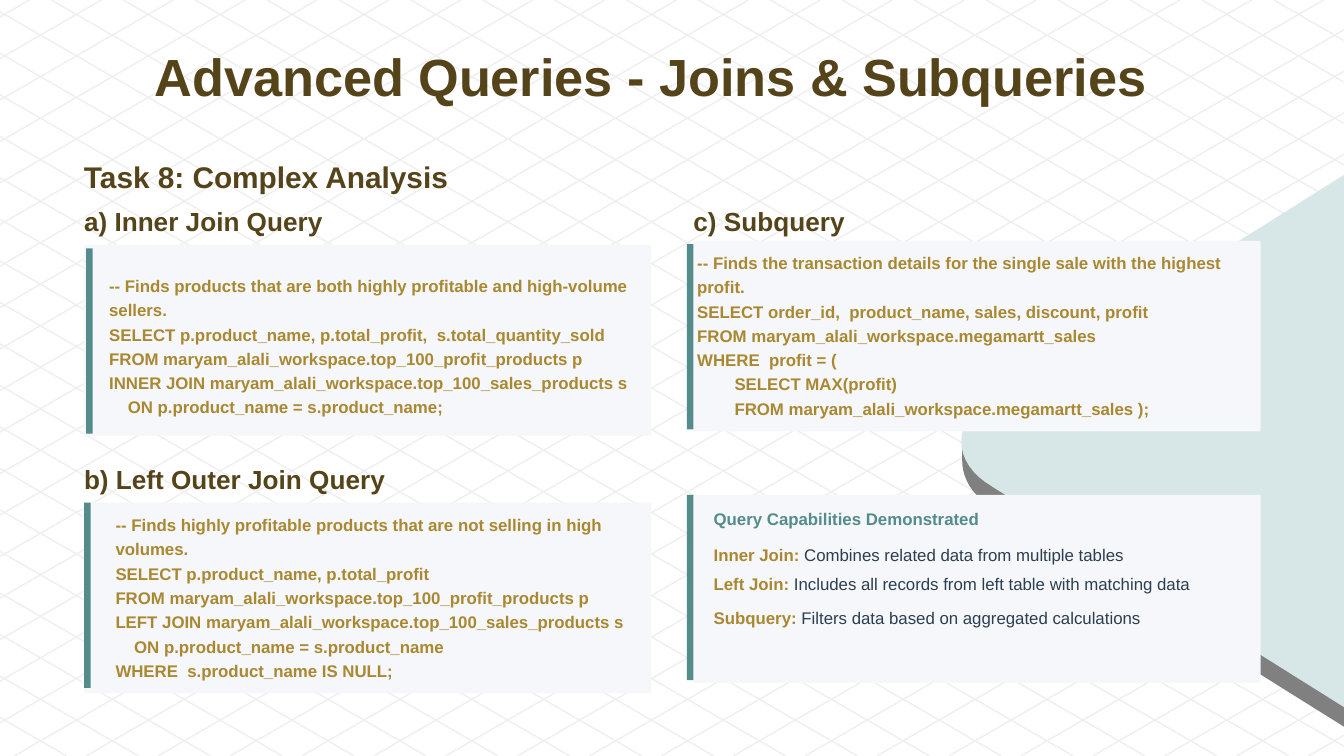
import pptx
import pptx.dml.color
import pptx.enum.shapes
import pptx.enum.text
import pptx.oxml.ns
import pptx.util
from lxml import etree

Pt = pptx.util.Pt
WIDTH, HEIGHT = 720, 405
BROWN, GOLD, TEAL = "554419", "AA8831", "548B8B"
PALE_TEAL, GREY, CARD, NAVY, GRID = "D7E7E7", "808080", "F5F7FA", "2C3E50", "EFEFEF"

INNER_JOIN = [
    "-- Finds products that are both highly profitable and high-volume sellers.",
    "SELECT p.product_name, p.total_profit,  s.total_quantity_sold",
    "FROM maryam_alali_workspace.top_100_profit_products p",
    "INNER JOIN maryam_alali_workspace.top_100_sales_products s",
    "    ON p.product_name = s.product_name;",
]
LEFT_JOIN = [
    "-- Finds highly profitable products that are not selling in high volumes.",
    "SELECT p.product_name, p.total_profit",
    "FROM maryam_alali_workspace.top_100_profit_products p",
    "LEFT JOIN maryam_alali_workspace.top_100_sales_products s",
    "    ON p.product_name = s.product_name",
    "WHERE  s.product_name IS NULL;",
]
SUBQUERY = [
    "-- Finds the transaction details for the single sale with the highest profit.",
    "SELECT order_id,  product_name, sales, discount, profit",
    "FROM maryam_alali_workspace.megamartt_sales",
    "WHERE  profit = (",
    "        SELECT MAX(profit)",
    "        FROM maryam_alali_workspace.megamartt_sales );",
]
# Term, explanation and top of each capability
CAPABILITIES = [
    ("Inner Join: ", "Combines related data from multiple tables", 289.4),
    ("Left Join: ", "Includes all records from left table with matching data", 305.3),
    ("Subquery: ", "Filters data based on aggregated calculations", 323.3),
]


def color(value):
    return pptx.dml.color.RGBColor.from_string(value)


def paint(shape, fill):
    shape.shadow.inherit = False
    shape.fill.solid()
    shape.fill.fore_color.rgb = color(fill)
    shape.line.fill.background()


def add_rectangle(slide, box, fill):
    kind = pptx.enum.shapes.MSO_SHAPE.RECTANGLE
    paint(slide.shapes.add_shape(kind, *map(Pt, box)), fill)


def add_text(slide, box, lines, size=9, spacing=13, ink=BROWN, wrap=False, insets=(0, 0)):
    """Each line is a string, or a list of (text, colour, bold) runs."""
    frame = slide.shapes.add_textbox(*map(Pt, box)).text_frame
    frame.word_wrap = wrap
    frame.auto_size = pptx.enum.text.MSO_AUTO_SIZE.SHAPE_TO_FIT_TEXT
    frame.margin_left = frame.margin_right = Pt(insets[0])
    frame.margin_top, frame.margin_bottom = Pt(insets[1]), 0
    for index, line in enumerate(lines):
        paragraph = frame.add_paragraph() if index else frame.paragraphs[0]
        paragraph.line_spacing = Pt(spacing)
        for text, run_color, bold in [(line, ink, True)] if isinstance(line, str) else line:
            run = paragraph.add_run()
            run.text = text
            run.font.name, run.font.size, run.font.bold = "Arial", Pt(size), bold
            run.font.color.rgb = color(run_color)


def add_lattice(slide, box):
    """Two families of evenly spaced diagonals, cut off at the box."""
    left, top, width, height = box
    slope, step, count = 0.5774, 22.24, 37
    for direction, first in ((1, -394), (-1, 9.1)):
        for index in range(count):
            start = first + index * step
            crossings = sorted((edge - start) / (direction * slope) for edge in (0, height))
            x1, x2 = max(0, crossings[0]), min(width, crossings[1])
            if x1 >= x2:
                continue
            y1, y2 = (start + direction * slope * x for x in (x1, x2))
            line = slide.shapes.add_connector(
                pptx.enum.shapes.MSO_CONNECTOR.STRAIGHT,
                Pt(left + x1), Pt(top + y1), Pt(left + x2), Pt(top + y2))
            line.line.color.rgb = color(GRID)
            line.line.width = Pt(0.75)
            etree.SubElement(line._element.spPr, pptx.oxml.ns.qn("a:effectLst"))


def curve(*controls, steps=16):
    """Points along a cubic Bezier curve."""
    points = []
    for index in range(steps + 1):
        t = index / steps
        weights = ((1 - t) ** 3, 3 * t * (1 - t) ** 2, 3 * t * t * (1 - t), t ** 3)
        points.append(tuple(sum(w * p[axis] for w, p in zip(weights, controls))
                            for axis in (0, 1)))
    return points


def add_wedge(slide, box):
    """Pale wedge with a rounded tip and a grey edge beneath it."""
    left, top, width, height = box
    edge = ([(width, 10)]
            + curve((21.9, 128.8), (12.5, 134.5), (7.5, 133.8), (6, 141.7))
            + curve((6, 153.3), (6, 161.9), (11.1, 171.9), (21.9, 177.7))
            + [(width, height)])
    face = ([(width, 0)]
            + curve((21.9, 118.7), (0, 131.7), (0, 154), (21.9, 166.9))
            + [(width, height - 10.5)])
    for points, fill in ((edge, GREY), (face, PALE_TEAL)):
        corners = [(Pt(left + x), Pt(top + y)) for x, y in points]
        builder = slide.shapes.build_freeform(*corners[0])
        builder.add_line_segments(corners[1:], close=True)
        paint(builder.convert_to_shape(), fill)


def add_card(slide, box, bar_left, bar_top):
    add_rectangle(slide, box, CARD)
    add_rectangle(slide, (bar_left, bar_top, 3.6, 99.3), TEAL)


def add_query(slide, box, heading, heading_box, bar, code, code_box):
    add_text(slide, heading_box, [heading], size=14, spacing=15)
    add_card(slide, box, *bar)
    add_text(slide, code_box, code, ink=GOLD, wrap=True, insets=(13.7, 10.1))


def add_capabilities(slide, box):
    left, top = box[:2]
    add_card(slide, box, left - 3.6, top)
    text_left = left + 10.8
    add_text(slide, (text_left, top + 4.3, 143.3, 13), ["Query Capabilities Demonstrated"],
             spacing=14, ink=TEAL)
    for term, explanation, line_top in CAPABILITIES:
        add_text(slide, (text_left, line_top, 270, 12.2),
                 [[(term, GOLD, True), (explanation, NAVY, False)]], wrap=True)


def main():
    presentation = pptx.Presentation()
    presentation.slide_width, presentation.slide_height = Pt(WIDTH), Pt(HEIGHT)
    slide = presentation.slides.add_slide(presentation.slide_layouts[6])

    # Background
    add_lattice(slide, (0, 0, WIDTH, HEIGHT))
    add_wedge(slide, (509.5, 93.7, 210.5, 295.6))

    # Titles
    add_text(slide, (82.8, 22.3, 553.7, 33), ["Advanced Queries - Joins & Subqueries"],
             size=28, spacing=35)
    add_text(slide, (45, 84.2, 199.4, 18.7), ["Task 8: Complex Analysis"], size=16, spacing=20)

    # Query cards
    add_query(slide, (45, 131.2, 303.8, 102.2), "a) Inner Join Query", (45, 111.6, 128.2, 15),
              (46.1, 133.1), INNER_JOIN, (44.8, 135.4, 326.2, 88))
    add_query(slide, (45, 269.2, 303.8, 102.2), "b) Left Outer Join Query", (45, 250, 162, 15),
              (45, 269.2), LEFT_JOIN, (48.2, 263.5, 303.8, 101))
    add_query(slide, (371.5, 129, 303.8, 102.2), "c) Subquery", (371.5, 111.6, 81.4, 15),
              (367.9, 130.8), SUBQUERY, (359.8, 123.1, 315.4, 101))

    # Summary card
    add_capabilities(slide, (371.5, 265.1, 303.8, 100.8))
    presentation.save("out.pptx")


if __name__ == "__main__":
    main()
